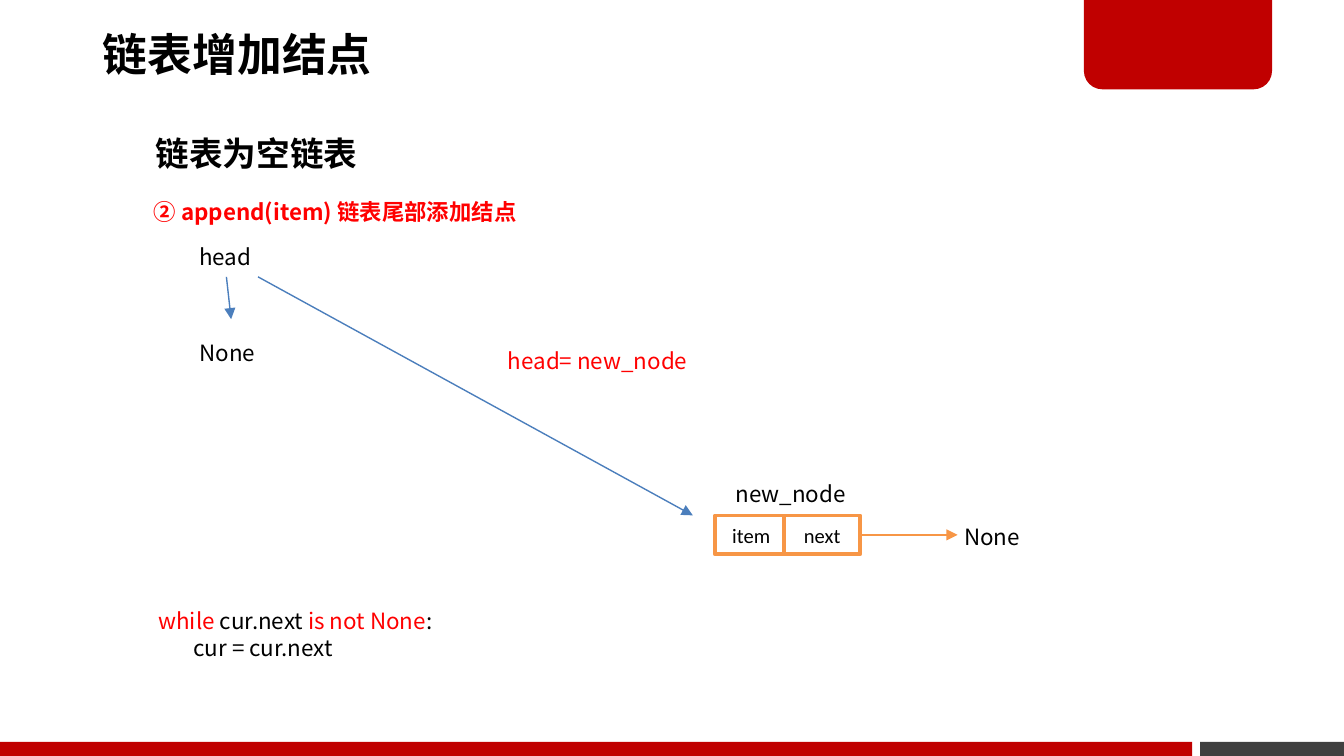
from lxml import etree
from pptx import Presentation
from pptx.dml.color import RGBColor
from pptx.enum.shapes import MSO_CONNECTOR, MSO_SHAPE
from pptx.enum.text import MSO_ANCHOR, MSO_AUTO_SIZE, PP_ALIGN
from pptx.oxml.ns import qn
from pptx.util import Pt

EMU_PER_PX = 4572
TITLE_ONLY = 5
STRAIGHT = MSO_CONNECTOR.STRAIGHT
RECTANGLE = MSO_SHAPE.RECTANGLE
TAB = MSO_SHAPE.ROUND_2_SAME_RECTANGLE
MIDDLE = MSO_ANCHOR.MIDDLE
TOP = MSO_ANCHOR.TOP
LEFT = PP_ALIGN.LEFT
CENTER = PP_ALIGN.CENTER
FIXED_SIZE = MSO_AUTO_SIZE.NONE
FIT_SHAPE = MSO_AUTO_SIZE.SHAPE_TO_FIT_TEXT

BLACK = RGBColor(0x00, 0x00, 0x00)
WHITE = RGBColor(0xFF, 0xFF, 0xFF)
RED = RGBColor(0xFF, 0x00, 0x00)
DARK_RED = RGBColor(0xC0, 0x00, 0x00)
GRAY = RGBColor(0x40, 0x40, 0x40)
BLUE = RGBColor(0x4B, 0x7E, 0xBC)
ORANGE = RGBColor(0xF7, 0x96, 0x46)

CJK_FONT = "Noto Sans CJK SC"
LATIN_FONT = "Calibri"


def px(*lengths):
    return [length * EMU_PER_PX for length in lengths]


def format_paragraph(para, size, color=BLACK, bold=False, name=CJK_FONT):
    font = para.font
    font.size = Pt(size)
    font.bold = bold
    font.color.rgb = color
    font.name = name
    properties = para._p.pPr.find(qn("a:defRPr"))
    etree.SubElement(properties, qn("a:ea")).set("typeface", name)


def add_title(page, text, bounds):
    title = page.shapes.title
    title.left, title.top, title.width, title.height = px(*bounds)
    frame = title.text_frame
    frame.text = text
    frame.auto_size = FIXED_SIZE
    frame.vertical_anchor = MIDDLE
    frame.margin_left, frame.margin_right = px(15, 15)
    frame.margin_top, frame.margin_bottom = px(8, 8)
    para = frame.paragraphs[0]
    para.alignment = LEFT
    para.line_spacing = 0.9
    format_paragraph(para, 24, bold=True)


def add_text(page, lines, bounds, size=12, color=BLACK, bold=False):
    box = page.shapes.add_textbox(*px(*bounds))
    frame = box.text_frame
    frame.word_wrap = False
    frame.auto_size = FIT_SHAPE
    frame.vertical_anchor = TOP
    for index, spans in enumerate(lines):
        para = frame.add_paragraph() if index else frame.paragraphs[0]
        for text, span_color in spans:
            span = para.add_run()
            span.text = text
            if span_color != color:
                span.font.color.rgb = span_color
        format_paragraph(para, size, color, bold)


def add_label(page, text, bounds, size=12, color=BLACK, bold=False):
    add_text(page, [[(text, color)]], bounds, size, color, bold)


def add_block(page, kind, bounds, fill):
    block = page.shapes.add_shape(kind, *px(*bounds))
    block.shadow.inherit = False
    block.fill.solid()
    block.fill.fore_color.rgb = fill
    block.line.fill.background()
    return block


def add_node_field(page, text, bounds):
    field = add_block(page, RECTANGLE, bounds, WHITE)
    field.line.color.rgb = ORANGE
    field.line.width = Pt(2)
    frame = field.text_frame
    frame.text = text
    frame.vertical_anchor = MIDDLE
    para = frame.paragraphs[0]
    para.alignment = CENTER
    format_paragraph(para, 11, name=LATIN_FONT)


def add_arrow(page, start, end, color):
    arrow = page.shapes.add_connector(STRAIGHT, *px(*start, *end))
    arrow.line.color.rgb = color
    arrow.line.width = Pt(0.75)
    line = arrow._element.spPr.find(qn("a:ln"))
    etree.SubElement(line, qn("a:tailEnd")).set("type", "triangle")
    etree.SubElement(arrow._element.spPr, qn("a:effectLst"))


def add_decoration(page):
    add_block(page, RECTANGLE, (1786, 1104, 214, 21), GRAY)
    tab = add_block(page, TAB, (1613, -4, 280, 137), DARK_RED)
    tab.adjustments[0] = 0
    tab.adjustments[1] = 0.2
    add_block(page, RECTANGLE, (0, 1104, 1774, 21), DARK_RED)


def main():
    deck = Presentation()
    deck.slide_width, deck.slide_height = px(2000, 1125)
    page = deck.slides.add_slide(deck.slide_layouts[TITLE_ONLY])

    add_decoration(page)
    add_title(page, "链表增加结点", (138, -4, 1178, 178))
    add_label(page, "链表为空链表", (212, 188, 344, 142), size=18, bold=True)
    add_label(page, "② append(item) 链表尾部添加结点", (209, 285, 594, 60), color=RED, bold=True)

    add_label(page, "head", (277, 352, 120, 60))
    add_arrow(page, (337, 412), (344, 475), BLUE)
    add_label(page, "None", (277, 495, 128, 60))

    add_arrow(page, (1264, 796), (1425, 796), ORANGE)
    add_label(page, "None", (1415, 768, 128, 60))
    add_node_field(page, "item", (1064, 767, 108, 58))
    add_node_field(page, "next", (1167, 767, 113, 58))
    add_label(page, "new_node", (1075, 704, 204, 60))

    add_arrow(page, (384, 412), (1031, 767), BLUE)
    add_label(page, "head= new_node", (736, 507, 318, 60), color=RED)

    loop = [
        [("while ", RED), ("cur.next ", BLACK), ("is not None", RED), (":", BLACK)],
        [("       cur = cur.next", BLACK)],
    ]
    add_text(page, loop, (216, 894, 464, 142))

    deck.save("out.pptx")


if __name__ == "__main__":
    main()
